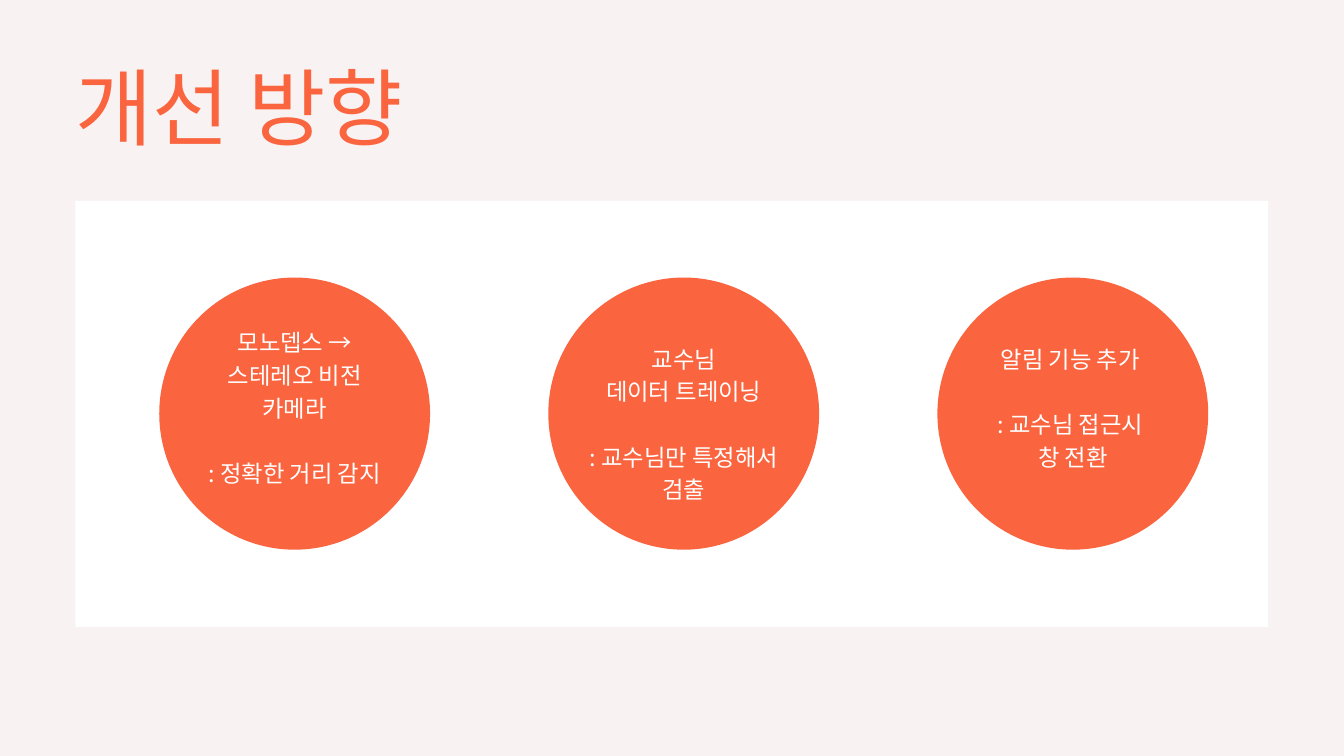
from dataclasses import dataclass

from lxml.etree import SubElement
from pptx import Presentation
from pptx.dml.color import RGBColor
from pptx.enum.shapes import MSO_SHAPE
from pptx.enum.text import MSO_ANCHOR, MSO_AUTO_SIZE, PP_ALIGN
from pptx.oxml.ns import qn
from pptx.util import Inches, Pt


@dataclass(frozen=True)
class Theme:
    background: RGBColor = RGBColor.from_string("F8F3F2")
    accent: RGBColor = RGBColor.from_string("FA643F")
    white: RGBColor = RGBColor.from_string("FFFFFF")
    latin: str = "Calibri"
    korean: str = "Noto Sans CJK KR"
    title_size: Pt = Pt(90)
    title_line: Pt = Pt(108)
    body_size: Pt = Pt(25)
    body_line: Pt = Pt(35)


theme = Theme()


def write(paragraph, text, *, size, color, line, font=theme.latin,
          align=PP_ALIGN.LEFT, before=Pt(0)):
    paragraph.alignment = align
    paragraph.line_spacing = line
    paragraph.space_before = before
    run = paragraph.add_run()
    run.text = text
    run.font.size = size
    run.font.color.rgb = color
    run.font.name = font
    SubElement(run.font._element, qn("a:ea"), typeface=theme.korean)


def add_filled(preset, left, top, width, height, color):
    shape = slide.shapes.add_shape(
        preset, Inches(left), Inches(top), Inches(width), Inches(height))
    shape.shadow.inherit = False
    shape.fill.solid()
    shape.fill.fore_color.rgb = color
    shape.line.fill.background()


prs = Presentation()
prs.slide_width, prs.slide_height = Inches(20), Inches(11.25)
slide = prs.slides.add_slide(prs.slide_layouts[5])
slide.background.fill.solid()
slide.background.fill.fore_color.rgb = theme.background

# Title
title = slide.shapes.title
title.left, title.top = Inches(1.12), Inches(0.82)
title.width, title.height = Inches(13.5), Inches(1.51)
heading = title.text_frame
heading.margin_left = heading.margin_right = 0
heading.margin_top = heading.margin_bottom = 0
heading.vertical_anchor = MSO_ANCHOR.TOP
heading.auto_size = MSO_AUTO_SIZE.NONE
write(heading.paragraphs[0], "개선 방향", size=theme.title_size,
      color=theme.accent, line=theme.title_line)

# White panel
add_filled(MSO_SHAPE.RECTANGLE, 1.12, 2.99, 17.75, 6.34, theme.white)

# Improvements: heading lines, detail lines (text, font), lines left free on top
improvements = [
    (["모노뎁스 → 스테레오 비전 카메라"],
     [(": 정확한 거리 감지", theme.korean)], 0),
    (["교수님", "데이터 트레이닝"],
     [(": 교수님만 특정해서 검출", theme.korean)], 1),
    (["알림 기능 추가 "],
     [(": 교수님 접근시 ", theme.korean), ("창 전환", theme.latin)], 0),
]
first_left, pitch, inset = 2.37, 5.79, Inches(0.21)

for index, (topics, details, free_lines) in enumerate(improvements):
    left = first_left + index * pitch
    add_filled(MSO_SHAPE.OVAL, left, 4.13, 4.03, 4.05, theme.accent)

    label = slide.shapes.add_textbox(
        Inches(left + 0.37), Inches(4.27), Inches(3.29), Inches(3.53)).text_frame
    label.word_wrap = True
    label.vertical_anchor = MSO_ANCHOR.MIDDLE
    label.margin_left = label.margin_right = label.margin_bottom = inset
    label.margin_top = inset + free_lines * theme.body_line

    lines = [(topic, theme.latin) for topic in topics] + details
    for number, (text, font) in enumerate(lines):
        paragraph = label.add_paragraph() if number else label.paragraphs[0]
        # One line of space parts the details from the topic
        gap = theme.body_line if number == len(topics) else Pt(0)
        write(paragraph, text, size=theme.body_size, color=theme.white,
              line=theme.body_line, font=font, align=PP_ALIGN.CENTER, before=gap)

prs.save("out.pptx")
